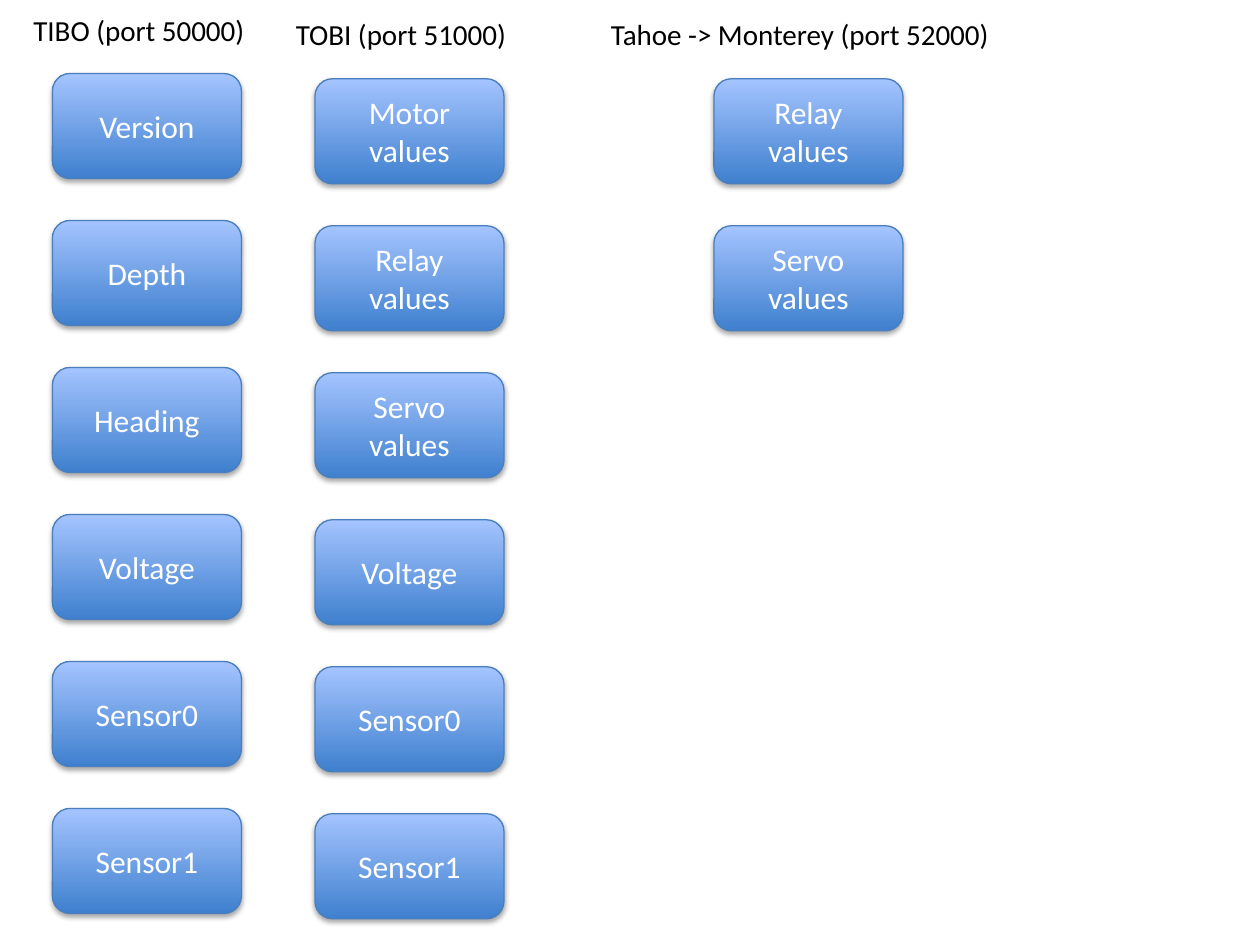
import pptx
import pptx.util
import pptx.dml.color
import pptx.enum.shapes
import pptx.enum.text
import pptx.oxml

Pt = pptx.util.Pt
FONT = "Calibri"
COLORS = {
    "low": "3F80CE",
    "high": "A4C4FF",
    "edge": "4B7EBC",
    "shade": "000000",
    "label": "000000",
    "value": "FFFFFF",
}
BOX_W, BOX_H, PITCH = 108, 60, 84
SHADOW = (
    '<a:effectLst xmlns:a="http://schemas.openxmlformats.org/drawingml/2006/main">'
    '<a:outerShdw blurRad="%d" dist="%d" dir="5400000" rotWithShape="0">'
    '<a:srgbClr val="%s"><a:alpha val="35000"/></a:srgbClr>'
    '</a:outerShdw></a:effectLst>'
)

# Title, title frame (left, top, width, height), box left, box top, values
GROUPS = [
    ("TIBO (port 50000)", (12, 3.6, 144, 28.8), 30, 42,
     ["Version", "Depth", "Heading", "Voltage", "Sensor0", "Sensor1"]),
    ("TOBI (port 51000)", (162, 6, 144, 28.8), 180, 45,
     ["Motor values", "Relay values", "Servo values",
      "Voltage", "Sensor0", "Sensor1"]),
    ("Tahoe -> Monterey (port 52000)", (342, 6, 240, 36), 408, 45,
     ["Relay values", "Servo values"]),
]


def tint(key):
    """Return the named colour."""
    return pptx.dml.color.RGBColor.from_string(COLORS[key])


def write(shape, text, size, key):
    """Put one line of styled text in a shape and return its paragraph."""
    frame = shape.text_frame
    frame.word_wrap = True
    frame.text = text
    para = frame.paragraphs[0]
    font = para.runs[0].font
    font.name, font.size = FONT, Pt(size)
    font.color.rgb = tint(key)
    return para


def add_label(slide, text, frame):
    """Add the title of a group."""
    box = slide.shapes.add_textbox(*map(Pt, frame))
    write(box, text, 16.6, "label")


def add_value(slide, text, left, top):
    """Add a rounded box with a gradient and a soft shadow."""
    box = slide.shapes.add_shape(
        pptx.enum.shapes.MSO_SHAPE.ROUNDED_RECTANGLE,
        Pt(left), Pt(top), Pt(BOX_W), Pt(BOX_H))
    box.fill.gradient()
    box.fill.gradient_angle = 90
    for stop, key in zip(box.fill.gradient_stops, ("low", "high")):
        stop.color.rgb = tint(key)
    box.line.color.rgb = tint("edge")
    box.line.width = Pt(0.75)
    glow = SHADOW % (Pt(3.1), Pt(1.8), COLORS["shade"])
    box._element.spPr.append(pptx.oxml.parse_xml(glow))
    para = write(box, text, 18, "value")
    para.alignment = pptx.enum.text.PP_ALIGN.CENTER
    box.text_frame.vertical_anchor = pptx.enum.text.MSO_ANCHOR.MIDDLE


def main():
    """Build the slide and save it."""
    deck = pptx.Presentation()
    deck.slide_width, deck.slide_height = Pt(720), Pt(540)
    slide = deck.slides.add_slide(deck.slide_layouts[6])
    for title, frame, left, top, values in GROUPS:
        for row, value in enumerate(values):
            add_value(slide, value, left, top + row * PITCH)
        add_label(slide, title, frame)
    deck.save("out.pptx")


main()
